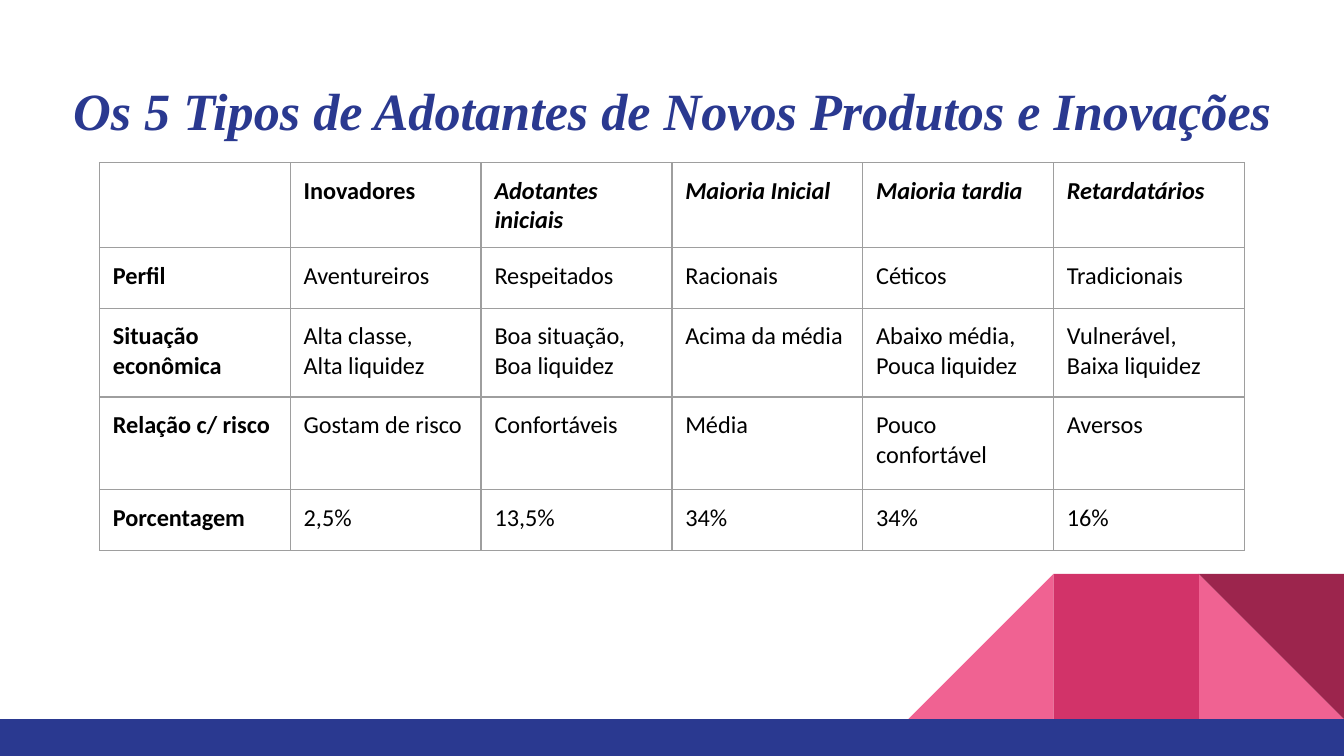
from lxml import etree
from pptx import Presentation
from pptx import util as u
from pptx.dml.color import RGBColor
from pptx.enum import shapes, text
from pptx.oxml.ns import qn


def colour(value):
    return RGBColor.from_string(value)


class SlideBuilder:
    navy, border = "2A3990", "9E9E9E"
    title_style = dict(name="Times New Roman", size=u.Pt(28), bold=True, italic=True)
    cell_style = dict(name="Calibri", size=u.Pt(13))
    title_format = dict(alignment=text.PP_ALIGN.CENTER, line_spacing=1.15,
                        space_before=u.Pt(12), space_after=u.Pt(12))
    margins = {f"margin_{side}": u.Inches(0.1)
               for side in ("left", "top", "right", "bottom")}

    def __init__(self, slide):
        self.slide = slide

    def apply(self, target, values):
        for name, value in values.items():
            setattr(target, name, value)

    def style_font(self, font, values, hex_colour):
        self.apply(font, values)
        font.color.rgb = colour(hex_colour)

    def block(self, kind, left, top, width, height, fill, rotation=0, flip=False):
        shape = self.slide.shapes.add_shape(
            kind, *map(u.Inches, (left, top, width, height)))
        shape.shadow.inherit = False
        shape.fill.solid()
        shape.fill.fore_color.rgb = colour(fill)
        shape.line.fill.background()
        shape.rotation = rotation
        if flip:
            shape._element.spPr.xfrm.set("flipH", "1")

    def title(self, wording, left, top, width, height):
        shape = self.slide.shapes.add_textbox(
            *map(u.Inches, (left, top, width, height)))
        frame = shape.text_frame
        self.apply(frame, dict(self.margins, word_wrap=True,
                               vertical_anchor=text.MSO_ANCHOR.MIDDLE))
        paragraph = frame.paragraphs[0]
        self.apply(paragraph, self.title_format)
        run = paragraph.add_run()
        run.text = wording
        self.style_font(run.font, self.title_style, self.navy)

    def cell_borders(self, cell):
        properties = cell._tc.get_or_add_tcPr()
        for index, side in enumerate(("lnL", "lnR", "lnT", "lnB")):
            line = etree.Element(qn(f"a:{side}"), w=str(u.Pt(0.75)))
            fill = etree.SubElement(line, qn("a:solidFill"))
            etree.SubElement(fill, qn("a:srgbClr"), val=self.border)
            properties.insert(index, line)

    def table(self, rows, left, top, column_width, row_heights):
        columns = len(rows[0])
        shape = self.slide.shapes.add_table(
            len(rows), columns, u.Inches(left), u.Inches(top),
            u.Inches(column_width * columns), u.Inches(sum(row_heights)))
        table = shape.table
        self.apply(table, dict(first_row=False, horz_banding=False))
        for column in table.columns:
            column.width = u.Inches(column_width)
        for r, wordings in enumerate(rows):
            table.rows[r].height = u.Inches(row_heights[r])
            for c, wording in enumerate(wordings):
                cell = table.cell(r, c)
                self.apply(cell, self.margins)
                cell.fill.background()
                self.cell_borders(cell)
                cell.text = wording
                emphasis = dict(bold=r == 0 or c == 0, italic=r == 0 and c > 1)
                for paragraph in cell.text_frame.paragraphs:
                    for run in paragraph.runs:
                        self.style_font(run.font, {**self.cell_style, **emphasis}, "000000")


def main():
    presentation = Presentation()
    presentation.slide_width = u.Inches(10)
    presentation.slide_height = u.Inches(5.625)
    builder = SlideBuilder(presentation.slides.add_slide(presentation.slide_layouts[6]))

    triangle = shapes.MSO_SHAPE.RIGHT_TRIANGLE
    rectangle = shapes.MSO_SHAPE.RECTANGLE
    side, top = 1.08, 4.27
    for kind, left, fill, rotation, flip in (
        (triangle, 10 - side, "F06292", 0, False),
        (triangle, 10 - 3 * side, "F06292", 0, True),
        (rectangle, 10 - 2 * side, "D23369", 0, False),
        (triangle, 10 - side, "9C254D", 180, False),
    ):
        builder.block(kind, left, top, side, side, fill, rotation, flip)
    builder.block(rectangle, 0, top + side, 10, 0.28, builder.navy)

    builder.title("Os 5 Tipos de Adotantes de Novos Produtos e Inovações",
                  0.34, 0.45, 9.32, 0.66)
    builder.table([
        ["", "Inovadores", "Adotantes iniciais", "Maioria Inicial",
         "Maioria tardia", "Retardatários"],
        ["Perfil", "Aventureiros", "Respeitados", "Racionais", "Céticos", "Tradicionais"],
        ["Situação econômica", "Alta classe,\nAlta liquidez", "Boa situação,\nBoa liquidez",
         "Acima da média", "Abaixo média,\nPouca liquidez", "Vulnerável,\nBaixa liquidez"],
        ["Relação c/ risco", "Gostam de risco", "Confortáveis", "Média",
         "Pouco confortável", "Aversos"],
        ["Porcentagem", "2,5%", "13,5%", "34%", "34%", "16%"],
    ], 0.74, 1.21, 1.42, [0.45, 0.45, 0.66, 0.69, 0.45])
    presentation.save("out.pptx")


if __name__ == "__main__":
    main()
